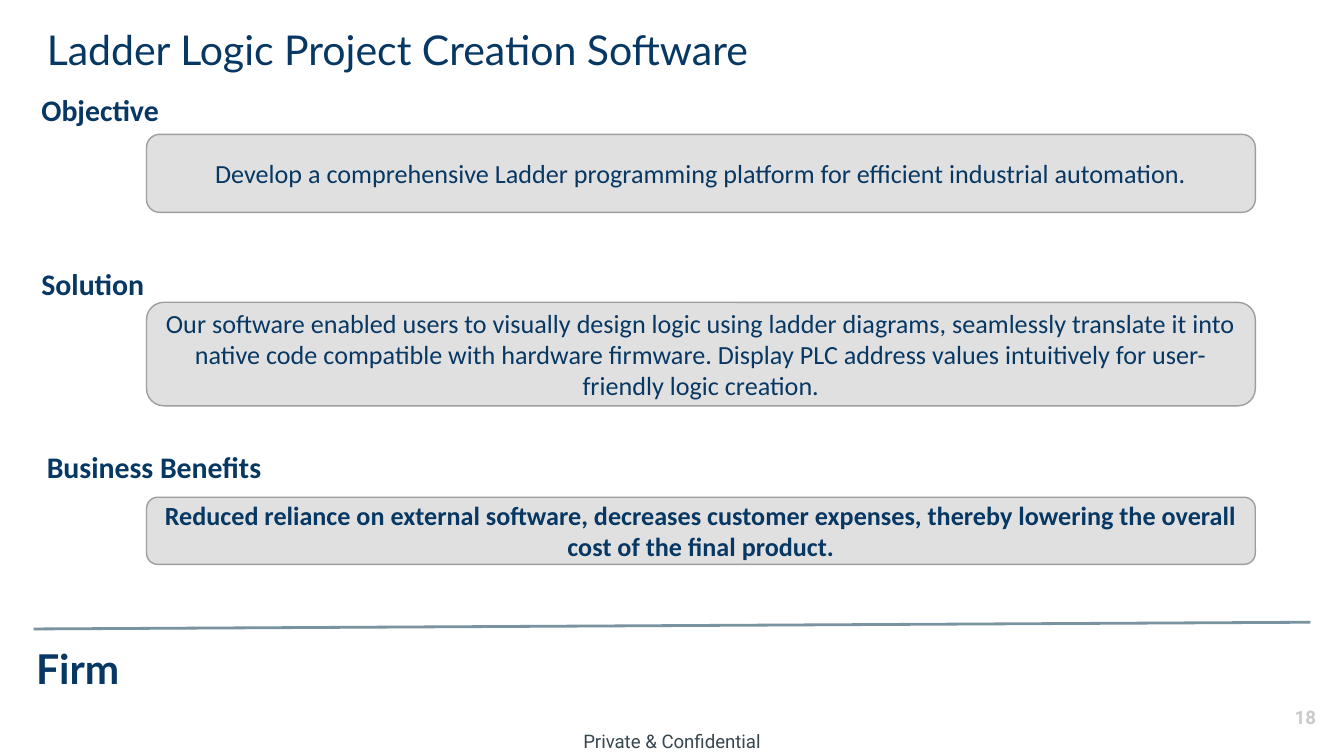
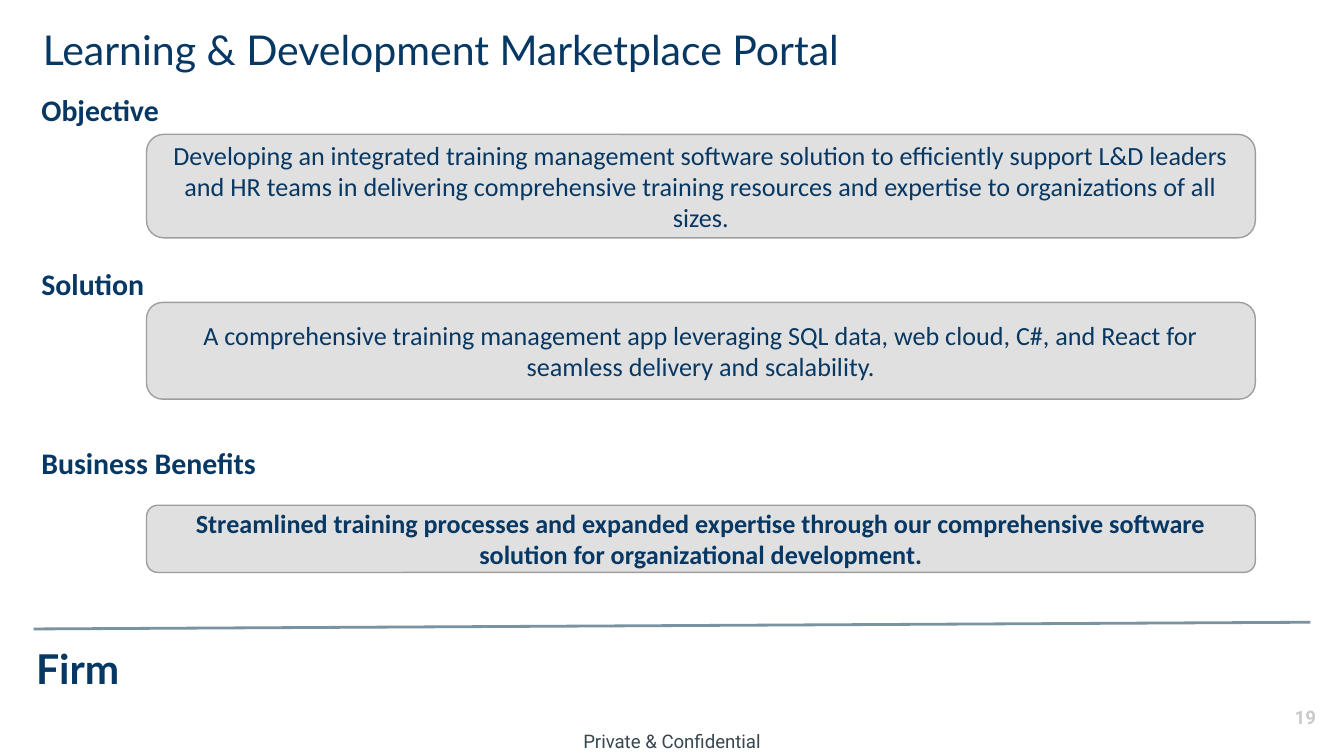
import pptx
import pptx.util
import pptx.dml.color
import pptx.enum.shapes
import pptx.enum.text
import pptx.oxml.ns
import lxml.etree

WIDE, HIGH = pptx.util.Inches(10), pptx.util.Inches(5.625)
COLS, ROWS = 100, 56.25
INKS = {"navy": "073763", "panel": "E0E0E0", "edge": "9E9E9E",
        "rule": "7A93A1", "foot": "37474F", "page": "CACACA"}
ALIGN = pptx.enum.text.PP_ALIGN
MIDDLE = pptx.enum.text.MSO_ANCHOR.MIDDLE
TOP = pptx.enum.text.MSO_ANCHOR.TOP

DECK = [
    {"page": 18, "title": "Ladder Logic Project Creation Software", "spot": (2.5, 0.8, 58.7, 5.7),
     "parts": [
         {"name": "Objective", "box": (2.1, 6.3, 91.3, 9.5), "label": (0, 90.9, 3.7), "tall": 5.8,
          "body": "Develop a comprehensive Ladder programming platform for efficient "
                  "industrial automation."},
         {"name": "Solution", "box": (2.1, 19.3, 91.3, 10.9), "label": (0, 9.8, 3.7), "tall": 7.7,
          "body": "Our software enabled users to visually design logic using ladder diagrams, "
                  "seamlessly translate it into native code compatible with hardware firmware. "
                  "Display PLC address values intuitively for user-friendly logic creation."},
         {"name": "Business Benefits", "box": (2.1, 32.4, 91.3, 9.6), "label": (0.4, 19.5, 4.7),
          "tall": 5, "bold": True,
          "body": "Reduced reliance on external software, decreases customer expenses, "
                  "thereby lowering the overall cost of the final product."}]},
    {"page": 19, "title": "Learning & Development Marketplace Portal", "spot": (2.2, 0.8, 64.4, 5.7),
     "parts": [
         {"name": "Objective", "box": (2.1, 6.3, 91.3, 11.4), "label": (0, 90.9, 3.7), "tall": 7.7,
          "body": "Developing an integrated training management software solution to efficiently "
                  "support L&D leaders and HR teams in delivering comprehensive training "
                  "resources and expertise to organizations of all sizes."},
         {"name": "Solution", "box": (2.1, 19.3, 91.3, 10.4), "label": (0, 90.1, 3.7), "tall": 7.2,
          "body": "A comprehensive training management app leveraging SQL data, web cloud, C#, "
                  "and React for seamless delivery and scalability."},
         {"name": "Business Benefits", "box": (2.1, 32.1, 91.3, 10.5), "label": (0, 19.5, 4.7),
          "tall": 5, "bold": True,
          "body": "Streamlined training processes and expanded expertise through our "
                  "comprehensive software solution for organizational development."}]},
]


def tint(name):
    """Return the named colour."""
    return pptx.dml.color.RGBColor.from_string(INKS[name])


def place(box):
    """Turn a box in columns and rows into slide lengths."""
    return [round(n * unit) for n, unit in zip(box, (WIDE / COLS, HIGH / ROWS) * 2)]


def write(shape, words, size, face, ink="navy", bold=False, align=ALIGN.LEFT, anchor=TOP, pad=1):
    """Set the text of a shape and format it."""
    frame = shape.text_frame
    frame.text = words
    frame.word_wrap = True
    frame.vertical_anchor = anchor
    frame.margin_left = frame.margin_right = round(WIDE / COLS)
    frame.margin_top = frame.margin_bottom = round(pad * HIGH / ROWS)
    line = frame.paragraphs[0]
    line.alignment = align
    font = line.runs[0].font
    font.size, font.name, font.bold = pptx.util.Pt(size), face, bold
    font.color.rgb = tint(ink)


def note(slide, box, words, size, face, **look):
    """Add a text box."""
    write(slide.shapes.add_textbox(*place(box)), words, size, face, **look)


def panel(slide, box, words, bold):
    """Add a rounded panel with centred text."""
    kind = pptx.enum.shapes.MSO_SHAPE.ROUNDED_RECTANGLE
    shape = slide.shapes.add_shape(kind, *place(box))
    shape.adjustments[0] = 0.167
    shape.shadow.inherit = False
    shape.fill.solid()
    shape.fill.fore_color.rgb = tint("panel")
    shape.line.color.rgb = tint("edge")
    shape.line.width = pptx.util.Pt(0.75)
    write(shape, words, 14, "Calibri", bold=bold, align=ALIGN.CENTER, anchor=MIDDLE)


def section(slide, part):
    """Place a label at the top of the part's box and a panel at its foot."""
    left, top, wide, high = part["box"]
    shift, span, rows = part["label"]
    tall, inset = part["tall"], 8.8
    note(slide, (left + shift, top, span, rows), part["name"], 16, "Calibri",
         bold=True, pad=(rows - 2.7) / 2)
    panel(slide, (left + inset, top + high - tall, wide - inset, tall),
          part["body"], part.get("bold", False))


def footer(slide, box, page):
    """Draw the rule, firm name, notice and page number within the box."""
    left, top, wide, high = box
    ends = place((left + 2.5, top + 0.5, left + wide - 2.5, top))
    rule = slide.shapes.add_connector(pptx.enum.shapes.MSO_CONNECTOR.STRAIGHT, *ends)
    rule.line.color.rgb = tint("rule")
    rule.line.width = pptx.util.Pt(1.5)
    lxml.etree.SubElement(rule._element.spPr, pptx.oxml.ns.qn("a:effectLst"))
    note(slide, (left + 1.7, top + 0.6, 32.8, 4.4), "Firm", 22, "Lato", bold=True)
    note(slide, (left + (wide - 21) / 2, top + high - 2.8, 21, 2.8), "Private & Confidential",
         10, "Roboto", ink="foot", align=ALIGN.CENTER)
    note(slide, (left + wide - 7.1, top + 4.9, 6, 4.3), str(page), 10, "Roboto",
         ink="page", bold=True, align=ALIGN.RIGHT, anchor=MIDDLE)


def build(deck, data):
    """Add one project slide."""
    slide = deck.slides.add_slide(deck.slide_layouts[6])
    note(slide, data["spot"], data["title"], 22, "Lato")
    for part in data["parts"]:
        section(slide, part)
    footer(slide, (0, 46.3, COLS, ROWS - 46.3), data["page"])


def main():
    """Build and save the deck."""
    deck = pptx.Presentation()
    deck.slide_width, deck.slide_height = WIDE, HIGH
    for data in DECK:
        build(deck, data)
    deck.save("out.pptx")


if __name__ == "__main__":
    main()
